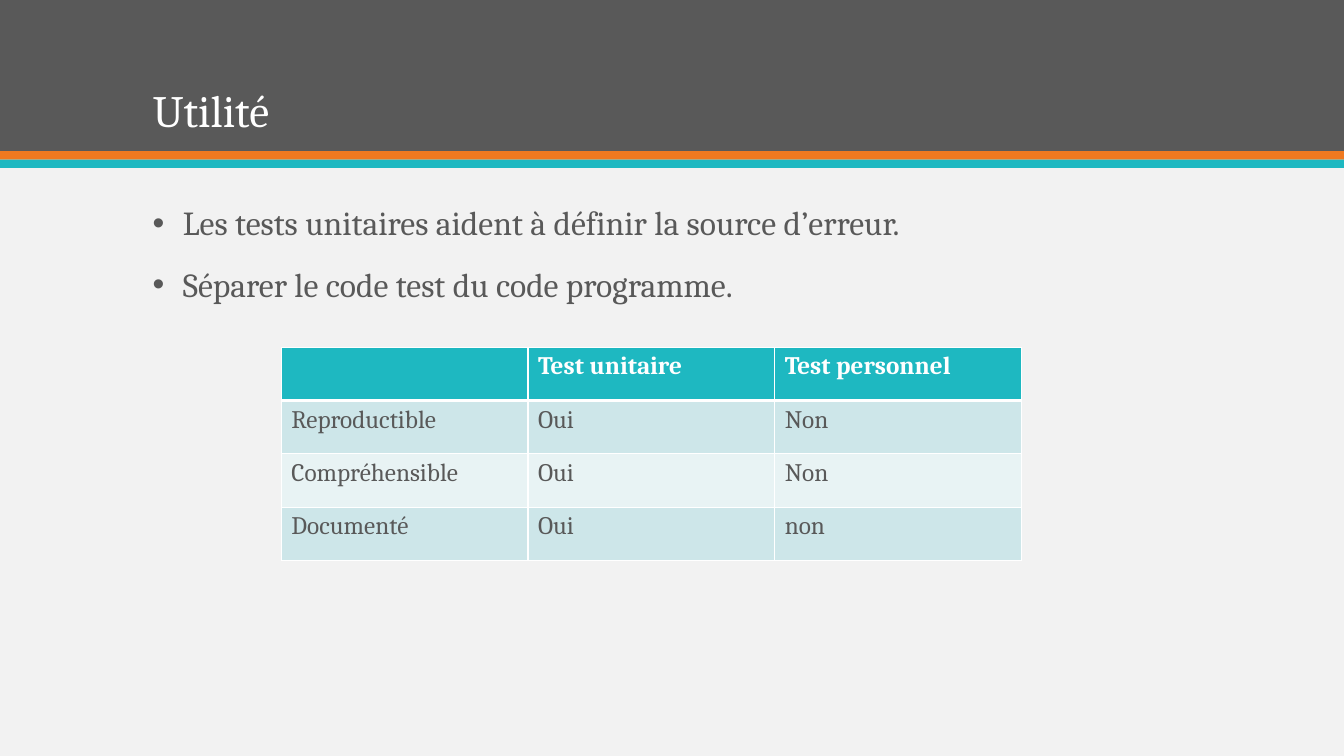
import pptx
import pptx.util
import pptx.dml.color
import pptx.enum.shapes
import pptx.enum.text
import pptx.oxml
import pptx.oxml.ns

Pt = pptx.util.Pt
RGB = pptx.dml.color.RGBColor
GREY = RGB(0x59, 0x59, 0x59)
ORANGE = RGB(0xEF, 0x79, 0x20)
TEAL = RGB(0x1E, 0xB8, 0xC1)
WHITE = RGB(0xFF, 0xFF, 0xFF)
PAPER = RGB(0xF2, 0xF2, 0xF2)
BANDS = RGB(0xCD, 0xE6, 0xE9), RGB(0xE8, 0xF3, 0xF4)
WIDTH, HEIGHT = 960, 540


def xml(tag, body="", **attrs):
    pairs = " ".join(f'{key}="{val}"' for key, val in attrs.items())
    space = pptx.oxml.ns.nsdecls("a")
    return pptx.oxml.parse_xml(f"<a:{tag} {space} {pairs}>{body}</a:{tag}>")


def write(frame, *lines, size=18, color=GREY, bold=False, space=None, before=None, bullet=None):
    frame.word_wrap = True
    for num, line in enumerate(lines):
        para = frame.paragraphs[0] if num == 0 else frame.add_paragraph()
        para.alignment = pptx.enum.text.PP_ALIGN.LEFT
        para.line_spacing = space
        if before is not None:
            para.space_before = Pt(before)
        if bullet:
            props = para._p.get_or_add_pPr()
            props.set("marL", str(Pt(21.6)))
            props.set("indent", str(-Pt(21.6)))
            props.append(xml("buClr", f'<a:srgbClr val="{color}"/>'))
            props.append(xml("buFont", typeface="Arial"))
            props.append(xml("buChar", char=bullet))
        run = para.add_run()
        run.text = line
        font = run.font
        font.name, font.size, font.bold = "Cambria", Pt(size), bold
        font.color.rgb = color


class Page:
    """Hold the presentation style and draw each kind of element on its slide."""

    def __init__(self):
        self.deck = pptx.Presentation()
        self.deck.slide_width, self.deck.slide_height = Pt(WIDTH), Pt(HEIGHT)
        self.slide = self.deck.slides.add_slide(self.deck.slide_layouts[5])
        back = self.slide.background.fill
        back.solid()
        back.fore_color.rgb = PAPER

    def band(self, top, height, color):
        kind = pptx.enum.shapes.MSO_SHAPE.RECTANGLE
        band = self.slide.shapes.add_shape(kind, 0, Pt(top), Pt(WIDTH), Pt(height))
        band.shadow.inherit = False
        band.fill.solid()
        band.fill.fore_color.rgb = color
        band.line.fill.background()

    def title(self, text, left, top, width, height):
        title = self.slide.shapes.title
        title.left, title.top = Pt(left), Pt(top)
        title.width, title.height = Pt(width), Pt(height)
        title.element.getparent().append(title.element)
        frame = title.text_frame
        frame.vertical_anchor = pptx.enum.text.MSO_ANCHOR.BOTTOM
        frame.auto_size = pptx.enum.text.MSO_AUTO_SIZE.NONE
        write(frame, text, size=32, color=WHITE, space=0.9, before=0)

    def points(self, lines, left, top, width, height):
        box = self.slide.shapes.add_textbox(Pt(left), Pt(top), Pt(width), Pt(height))
        write(box.text_frame, *lines, size=24, space=0.9, before=18, bullet="•")

    def edge(self, cell, head):
        props = cell._tc.get_or_add_tcPr()
        line = f'<a:solidFill><a:srgbClr val="{WHITE}"/></a:solidFill>'
        for num, side in enumerate(("lnL", "lnR", "lnT", "lnB")):
            wide = 3 if head and side == "lnB" else 1
            props.insert(num, xml(side, line, w=Pt(wide)))

    def table(self, rows, left, top, wide, high):
        count = len(rows[0])
        size = Pt(wide * count), Pt(high * len(rows))
        grid = self.slide.shapes.add_table(len(rows), count, Pt(left), Pt(top), *size).table
        for col in grid.columns:
            col.width = Pt(wide)
        for r, row in enumerate(rows):
            head = r == 0
            grid.rows[r].height = Pt(high)
            for c, text in enumerate(row):
                cell = grid.cell(r, c)
                cell.fill.solid()
                cell.fill.fore_color.rgb = TEAL if head else BANDS[(r - 1) % 2]
                self.edge(cell, head)
                if text:
                    write(cell.text_frame, text, color=WHITE if head else GREY, bold=head)


def main():
    page = Page()
    page.band(0, 108, GREY)
    page.band(108, 6, ORANGE)
    page.band(114, 6, TEAL)
    page.title("Utilité", 102, 20, 756, 81.5)
    page.points(
        [
            "Les tests unitaires aident à définir la source d’erreur.",
            "Séparer le code test du code programme.",
        ],
        102, 144, 711.5, 138,
    )
    rows = [
        ("", "Test unitaire", "Test personnel"),
        ("Reproductible", "Oui", "Non"),
        ("Compréhensible", "Oui", "Non"),
        ("Documenté", "Oui", "non"),
    ]
    page.table(rows, 201, 248, 176.2, 38.1)
    page.deck.save("out.pptx")


if __name__ == "__main__":
    main()
